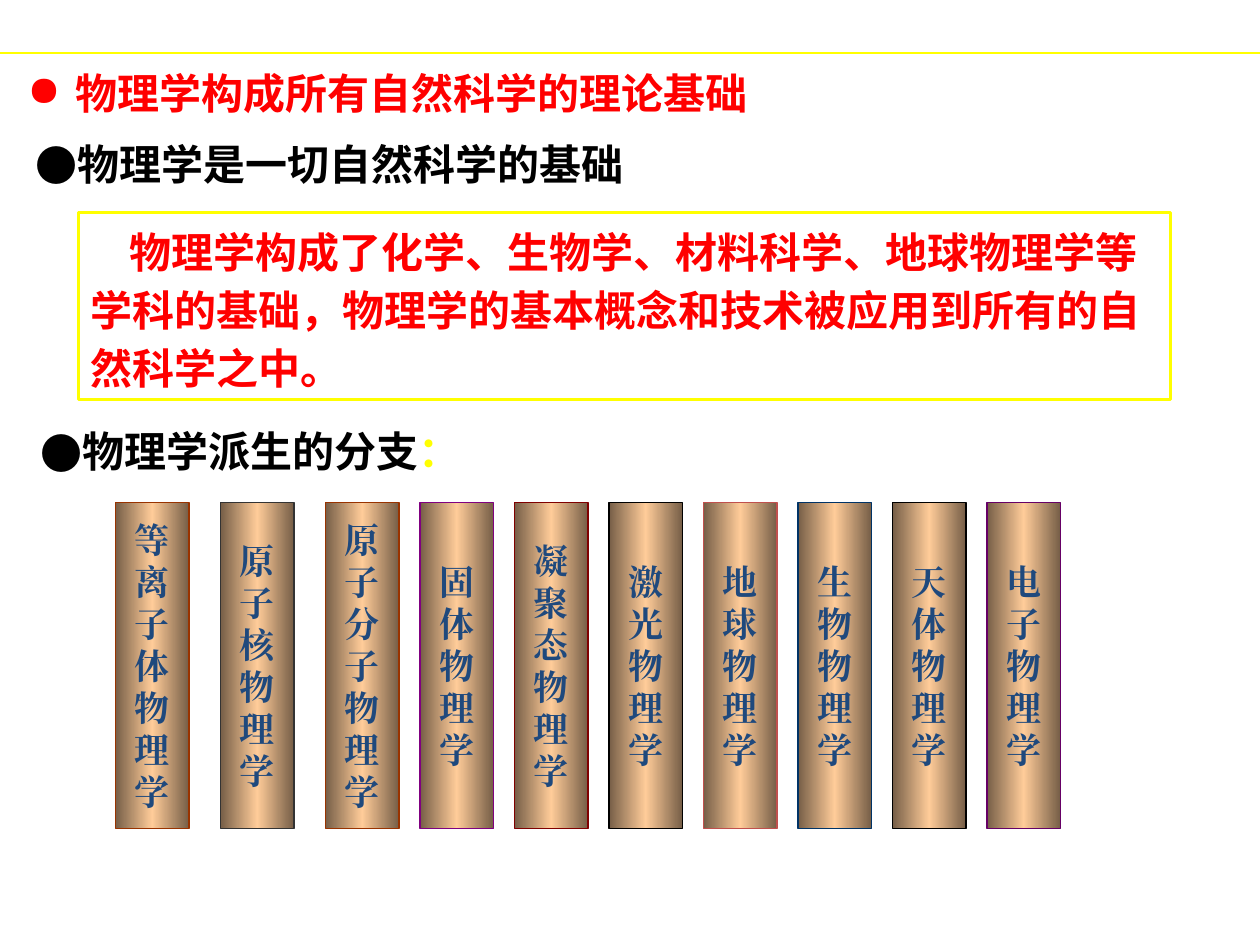
import pptx
import pptx.util
from lxml import etree
from pptx.dml.color import RGBColor
from pptx.enum.shapes import MSO_CONNECTOR, MSO_SHAPE
from pptx.enum.text import MSO_ANCHOR, PP_ALIGN
from pptx.oxml.ns import qn

Inches, Pt = pptx.util.Inches, pptx.util.Pt

WIDTH, HEIGHT = 10, 7.5
UNIT = WIDTH / 120  # one column or row of the grid
BAR_TOP, BAR_COLS, BAR_ROWS = 3.99, 7, 31

RED = RGBColor(0xFF, 0x00, 0x00)
YELLOW = RGBColor(0xFF, 0xFF, 0x00)
BLACK = RGBColor(0x00, 0x00, 0x00)
BLUE = RGBColor(0x1F, 0x49, 0x7D)
BRONZE = RGBColor(0x76, 0x5E, 0x47)
PEACH = RGBColor(0xFF, 0xCC, 0x99)
GREY = RGBColor(0x33, 0x33, 0x33)
RUST = RGBColor(0x99, 0x33, 0x00)
PURPLE = RGBColor(0x80, 0x00, 0x80)
MAROON = RGBColor(0x80, 0x00, 0x00)
BRICK = RGBColor(0xC0, 0x50, 0x4D)
NAVY = RGBColor(0x00, 0x33, 0x66)
PLUM = RGBColor(0x66, 0x00, 0x66)

SANS, SERIF = "Noto Sans CJK SC", "Times New Roman"
HEADING = {"name": SANS, "size": Pt(24), "bold": True}
BAR_TEXT = {"name": SERIF, "size": Pt(20), "bold": True}

# first grid column, text, outline
BRANCHES = [
    (11, "等离子体物理学", RUST),
    (21, "原子核物理学", GREY),
    (31, "原子分子物理学", RUST),
    (40, "固体物理学", PURPLE),
    (49, "凝聚态物理学", MAROON),
    (58, "激光物理学", BLACK),
    (67, "地球物理学", BRICK),
    (76, "生物物理学", NAVY),
    (85, "天体物理学", BLACK),
    (94, "电子物理学", PLUM),
]


def add_run(p, text, color, style):
    r = p.add_run()
    r.text = text
    for key, value in style.items():
        setattr(r.font, key, value)
    r.font.color.rgb = color
    ea = etree.SubElement(r.font._element, qn("a:ea"))
    ea.set("typeface", style["name"])


def set_indent(p, margin, first):
    pPr = p._p.get_or_add_pPr()
    pPr.set("marL", str(Inches(margin)))
    pPr.set("indent", str(Inches(first)))
    return pPr


def add_bullet_line(s, box, runs, margin, hang, size=None):
    """Add a bulleted line; size is the bullet's share of the text size."""
    sp = s.shapes.add_textbox(*map(Inches, box))
    tf = sp.text_frame
    tf.word_wrap = True
    p = tf.paragraphs[0]
    pPr = set_indent(p, margin, -hang)
    if size:
        etree.SubElement(pPr, qn("a:buSzPct")).set("val", f"{size}%")
        etree.SubElement(pPr, qn("a:buFont")).set("typeface", SANS)
    etree.SubElement(pPr, qn("a:buChar")).set("char", "●")
    for text, color in runs:
        add_run(p, text, color, HEADING)


def add_box(s, box, line, weight):
    sp = s.shapes.add_shape(MSO_SHAPE.RECTANGLE, *map(Inches, box))
    sp.shadow.inherit = False
    sp.fill.background()
    sp.line.color.rgb = line
    sp.line.width = Pt(weight)
    return sp


def add_statement(s, box, text):
    tf = add_box(s, box, YELLOW, 1.75).text_frame
    tf.word_wrap = True
    tf.vertical_anchor = MSO_ANCHOR.TOP
    p = tf.paragraphs[0]
    set_indent(p, 0, 0.31)
    p.alignment = PP_ALIGN.LEFT
    p.line_spacing = 1.15
    add_run(p, text, RED, HEADING)


def fill_as_column(sp):
    """Shade from dark edges to a light middle."""
    sp.fill.gradient()
    sp.fill.gradient_angle = 0
    stops = sp.fill._fill._gradFill.find(qn("a:gsLst"))
    for stop in list(stops):
        stops.remove(stop)
    for position, color in ((0, BRONZE), (50, PEACH), (100, BRONZE)):
        stop = etree.SubElement(stops, qn("a:gs"), pos=str(position * 1000))
        etree.SubElement(stop, qn("a:srgbClr"), val=str(color))


def add_branch(s, column, name, line):
    box = (column * UNIT, BAR_TOP, BAR_COLS * UNIT, BAR_ROWS * UNIT)
    sp = add_box(s, box, line, 0.75)
    fill_as_column(sp)
    tf = sp.text_frame
    tf.word_wrap = False
    tf.vertical_anchor = MSO_ANCHOR.MIDDLE
    for i, char in enumerate(name):
        p = tf.add_paragraph() if i else tf.paragraphs[0]
        p.alignment = PP_ALIGN.CENTER
        add_run(p, char, BLUE, BAR_TEXT)


def add_rule(s, y):
    line = s.shapes.add_connector(
        MSO_CONNECTOR.STRAIGHT, 0, Inches(y), Inches(WIDTH), Inches(y))
    line.line.color.rgb = YELLOW
    line.line.width = Pt(0.75)
    etree.SubElement(line._element.spPr, qn("a:effectLst"))


def main():
    prs = pptx.Presentation()
    prs.slide_width, prs.slide_height = Inches(WIDTH), Inches(HEIGHT)
    s = prs.slides.add_slide(prs.slide_layouts[6])
    add_bullet_line(s, (0.12, 0.49, 8.5, 0.5),
                    [("物理学构成所有自然科学的理论基础", RED)], 0.38, 0.38)
    add_bullet_line(s, (0.04, 1.05, 8.7, 0.5),
                    [("物理学是一切自然科学的基础", BLACK)], 0.47, 0.33, 67)
    add_bullet_line(s, (0.08, 3.33, 5.25, 0.5),
                    [("物理学派生的分支", BLACK), ("：", YELLOW)], 0.45, 0.31, 67)
    add_statement(s, (0.62, 1.69, 8.67, 1.48),
                  "物理学构成了化学、生物学、材料科学、地球物理学等学科的基础，"
                  "物理学的基本概念和技术被应用到所有的自然科学之中。")
    for column, name, line in BRANCHES:
        add_branch(s, column, name, line)
    add_rule(s, 0.056 * HEIGHT)
    prs.save("out.pptx")


if __name__ == "__main__":
    main()
